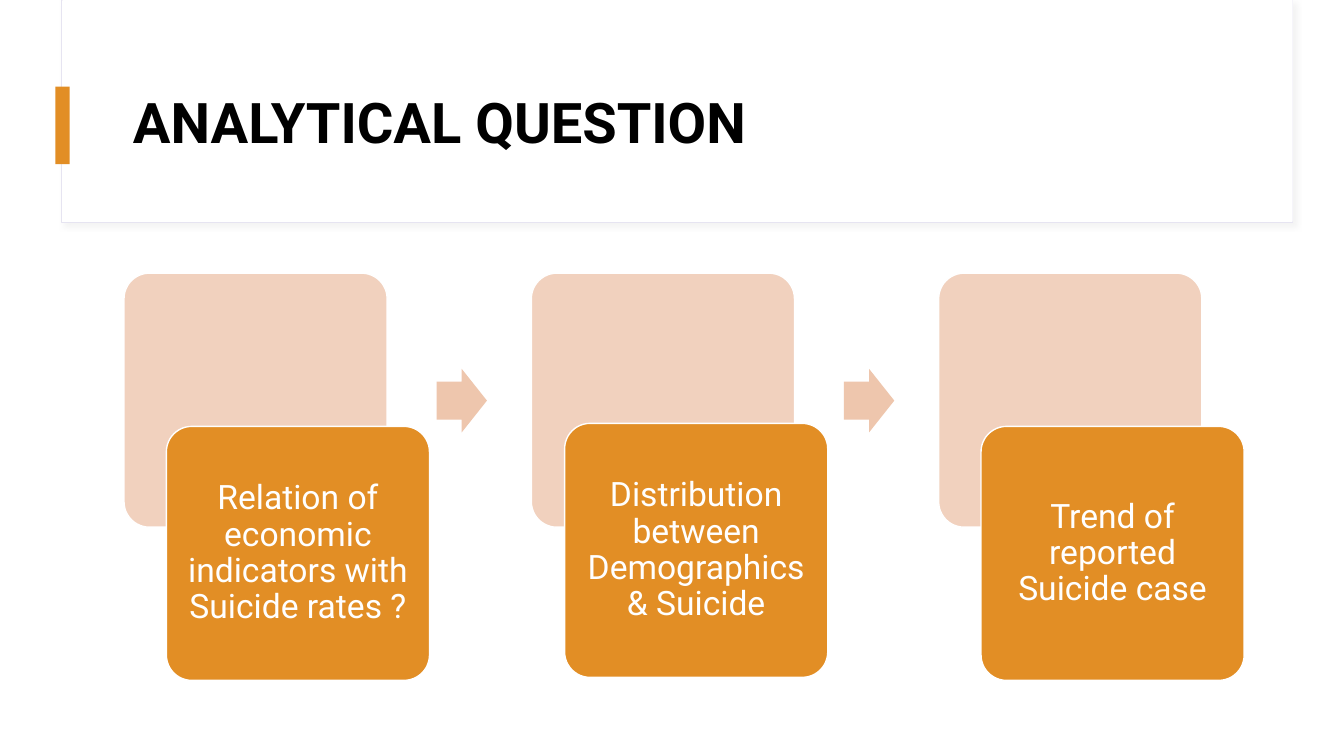
from lxml import etree
from pptx import Presentation
from pptx.dml.color import RGBColor
from pptx.enum.shapes import MSO_SHAPE
from pptx.enum.text import MSO_ANCHOR, PP_ALIGN
from pptx.oxml import parse_xml
from pptx.util import Inches, Pt

COLORS = {
    "white": "FFFFFF",
    "black": "000000",
    "orange": "E28E25",
    "peach": "F1D1BE",
    "arrow": "EEC6AD",
    "frame": "E6E4F1",
    "shadow": "D9D9D9",
}
DRAWING = "http://schemas.openxmlformats.org/drawingml/2006/main"
QUESTIONS = [
    ("Relation of economic indicators with Suicide rates ?", 1.65, 4.23),
    ("Distribution between Demographics & Suicide", 5.6, 4.2),
    ("Trend of reported Suicide case", 9.73, 4.23),
]
CARD_LEFT, CARD_TOP, CARD_STEP = 1.23, 2.71, 4.04
CARD_WIDTH, CARD_HEIGHT = 2.61, 2.52

presentation = Presentation()
presentation.slide_width = Inches(13.33)
presentation.slide_height = Inches(7.5)
slide = presentation.slides.add_slide(presentation.slide_layouts[6])


def add_block(kind, box, fill, line=None, line_width=1, adjustments=()):
    shape = slide.shapes.add_shape(kind, *(Inches(length) for length in box))
    shape.shadow.inherit = False
    shape.fill.solid()
    shape.fill.fore_color.rgb = RGBColor.from_string(COLORS[fill])
    if line:
        shape.line.color.rgb = RGBColor.from_string(COLORS[line])
        shape.line.width = Pt(line_width)
    else:
        shape.line.fill.background()
    for index, value in enumerate(adjustments):
        shape.adjustments[index] = value
    return shape


def write_text(shape, text, color, alignment, font_format, margin_y):
    frame = shape.text_frame
    frame_format = {
        "word_wrap": True,
        "vertical_anchor": MSO_ANCHOR.MIDDLE,
        "margin_left": Inches(0.1),
        "margin_right": Inches(0.1),
        "margin_top": Inches(margin_y),
        "margin_bottom": Inches(margin_y),
    }
    for name, value in frame_format.items():
        setattr(frame, name, value)
    paragraph = frame.paragraphs[0]
    paragraph.text = text
    paragraph.alignment = alignment
    paragraph.line_spacing = 0.9
    for name, value in font_format.items():
        setattr(paragraph.font, name, value)
    paragraph.font.color.rgb = RGBColor.from_string(COLORS[color])


# Title banner
banner = add_block(MSO_SHAPE.RECTANGLE, (0.61, 0, 12.21, 2.21), "white", "frame", 0.75)
effects = banner._element.spPr.find(f"{{{DRAWING}}}effectLst")
effects.append(parse_xml(
    f'<a:outerShdw xmlns:a="{DRAWING}" blurRad="{Pt(4)}" dist="{Pt(3)}" dir="{45 * 60000}">'
    f'<a:srgbClr val="{COLORS["shadow"]}"><a:alpha val="30000"/></a:srgbClr></a:outerShdw>'
))
add_block(MSO_SHAPE.RECTANGLE, (0.62, 0, 12.2, 2.2), "white")
add_block(MSO_SHAPE.RECTANGLE, (0.55, 0.86, 0.14, 0.77), "orange")
title = slide.shapes.add_textbox(Inches(1.22), Inches(0.6), Inches(11.12), Inches(1.29))
write_text(title, "ANALYTICAL QUESTION", "black", PP_ALIGN.LEFT,
           {"name": "Roboto", "size": Pt(40), "bold": True}, 0.05)

# Question cards with arrows between them
for index, (question, left, top) in enumerate(QUESTIONS):
    back_left = CARD_LEFT + index * CARD_STEP
    add_block(MSO_SHAPE.ROUNDED_RECTANGLE, (back_left, CARD_TOP, CARD_WIDTH, CARD_HEIGHT),
              "peach", "white", adjustments=[0.1])
    card = add_block(MSO_SHAPE.ROUNDED_RECTANGLE, (left, top, CARD_WIDTH, CARD_HEIGHT),
                     "orange", "white", adjustments=[0.1])
    write_text(card, question, "white", PP_ALIGN.CENTER,
               {"name": "Roboto", "size": Pt(24)}, 0.1)
    if index < len(QUESTIONS) - 1:
        add_block(MSO_SHAPE.RIGHT_ARROW, (back_left + 3.1, 3.66, 0.5, 0.63),
                  "arrow", adjustments=[0.6, 0.5])

presentation.save("out.pptx")
